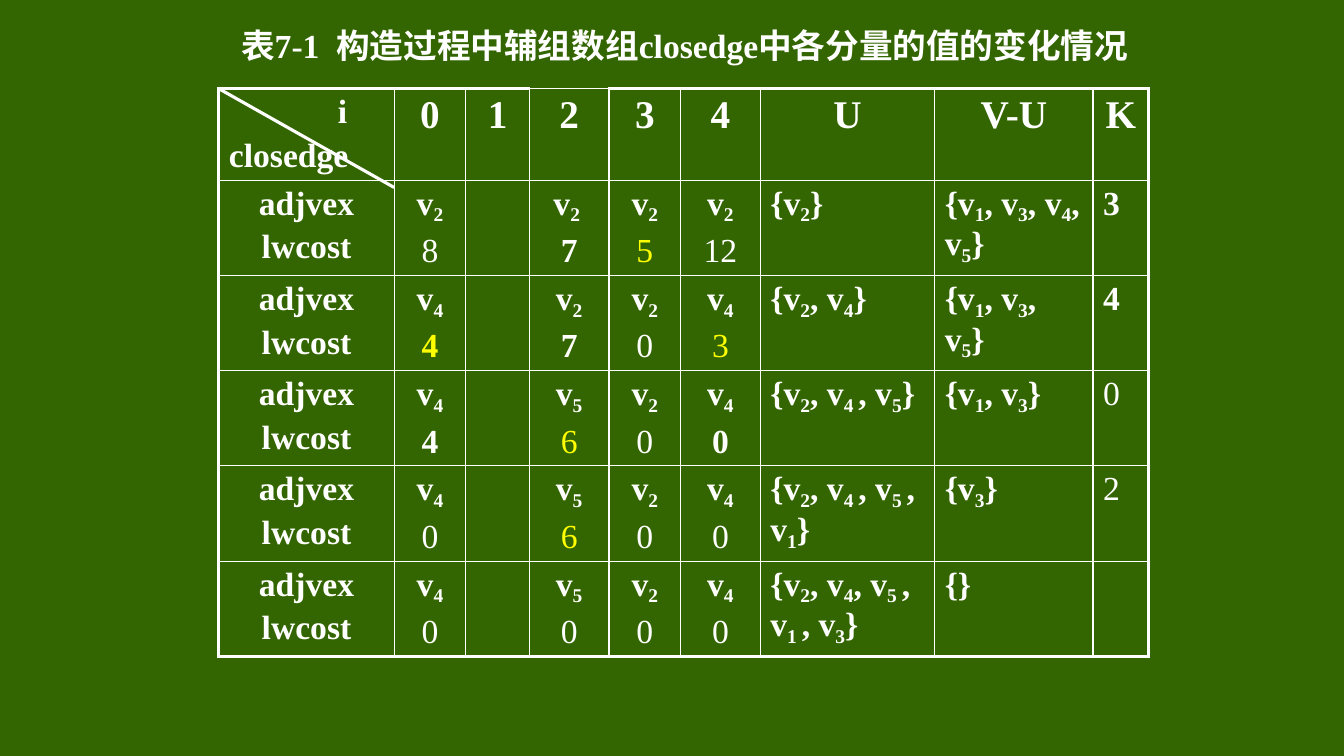
from dataclasses import dataclass

import pptx
import pptx.dml.color
import pptx.enum.shapes
import pptx.enum.text
import pptx.oxml
import pptx.oxml.ns
import pptx.slide
import pptx.table
import pptx.text.text
import pptx.util

RGB = pptx.dml.color.RGBColor
Align = pptx.enum.text.PP_ALIGN


@dataclass(frozen=True)
class Theme:
    font: str = "Times New Roman"
    background: RGB = RGB(0x33, 0x66, 0x00)
    text: RGB = RGB(0xFF, 0xFF, 0xFF)
    minimum: RGB = RGB(0xFF, 0xFF, 0x00)
    body_size: float = 24
    header_size: float = 28
    paragraph_gap: float = 4.8
    thin: float = 1
    thick: float = 2.25


@dataclass(frozen=True)
class Line:
    """One paragraph; the parts of its text between underscores alternate with subscripts."""
    text: str
    bold: bool = True
    minimum: bool = False
    align: Align = Align.CENTER
    size: float = 24
    indent: int = 0


@dataclass(frozen=True)
class Entry:
    """The adjvex and lwcost of one vertex."""
    adjvex: str
    lwcost: str
    bold: bool = False
    minimum: bool = False

    def lines(self) -> list[Line]:
        return [Line(self.adjvex), Line(self.lwcost, self.bold, self.minimum)]


@dataclass(frozen=True)
class Step:
    """One round: entries for vertices 0, 2, 3 and 4, both vertex sets and the choice k."""
    entries: tuple[Entry, Entry, Entry, Entry]
    chosen: str
    remaining: str
    k: str = ""
    k_bold: bool = False

    def cells(self) -> list[list[Line]]:
        first, *others = [entry.lines() for entry in self.entries]
        sets = [[Line(text, align=Align.LEFT)] for text in (self.chosen, self.remaining)]
        k = [Line(self.k, self.k_bold, align=Align.LEFT)] if self.k else []
        return [[Line("adjvex"), Line("lwcost")], first, [], *others, *sets, k]


THEME = Theme()
WIDTH, HEIGHT = pptx.util.Inches(13.33), pptx.util.Inches(7.5)

# Percentages of the slide's width and height
TABLE_LEFT, TABLE_TOP = 16.28, 11.73
COLUMNS = (13.05, 5.33, 4.73, 5.93, 5.33, 5.93, 12.98, 11.78, 4.13)
HEADER_HEIGHT, STEP_HEIGHT = 12.1, 12.6
DIAGONAL_HEIGHT = 13.07
THIN_TOP_COLUMN = 3

TITLE = "表7-1  构造过程中辅组数组closedge中各分量的值的变化情况"
HEADERS = ("0", "1", "2", "3", "4", "U", "V-U", "K")
STEPS = (
    Step((Entry("v_2_", "8"), Entry("v_2 _", "7", bold=True),
          Entry("v_2_", "5", minimum=True), Entry("v_2_", "12")),
         "{v_2_}", "{v_1_, v_3_, v_4_, v_5_}", "3", k_bold=True),
    Step((Entry("v_4_", "4", bold=True, minimum=True), Entry("v_2_", "7", bold=True),
          Entry("v_2_", "0"), Entry("v_4_", "3", minimum=True)),
         "{v_2_, v_4_}", "{v_1_, v_3_, v_5_}", "4", k_bold=True),
    Step((Entry("v_4_", "4", bold=True), Entry("v_5_", "6", minimum=True),
          Entry("v_2_", "0"), Entry("v_4_", "0", bold=True)),
         "{v_2_, v_4 _, v_5_}", "{v_1_, v_3_}", "0"),
    Step((Entry("v_4_", "0"), Entry("v_5_", "6", minimum=True),
          Entry("v_2_", "0"), Entry("v_4_", "0")),
         "{v_2_, v_4 _, v_5 _, v_1_}", "{v_3_}", "2"),
    Step((Entry("v_4_", "0"), Entry("v_5_", "0"), Entry("v_2_", "0"), Entry("v_4_", "0")),
         "{v_2_, v_4_, v_5 _, v_1 _, v_3_}", "{}"),
)


def across(percent: float) -> int:
    return round(WIDTH * percent / 100)


def down(percent: float) -> int:
    return round(HEIGHT * percent / 100)


def write_line(paragraph: pptx.text.text._Paragraph, line: Line) -> None:
    paragraph.alignment = line.align
    if line.indent:
        properties = paragraph._p.get_or_add_pPr()
        properties.set("marL", str(line.indent))
        properties.set("indent", "0")
    font = paragraph.font
    font.name, font.size, font.bold = THEME.font, pptx.util.Pt(line.size), line.bold
    font.color.rgb = THEME.minimum if line.minimum else THEME.text
    for position, part in enumerate(line.text.split("_")):
        if part:
            run = paragraph.add_run()
            run.text = part
            if position % 2:
                run._r.get_or_add_rPr().set("baseline", "-20000")


def write_lines(frame: pptx.text.text.TextFrame, lines: list[Line]) -> None:
    for position, line in enumerate(lines):
        paragraph = frame.add_paragraph() if position else frame.paragraphs[0]
        if position:
            paragraph.space_before = pptx.util.Pt(THEME.paragraph_gap)
        write_line(paragraph, line)


def draw_borders(cell: pptx.table._Cell, thick_sides: set[str]) -> None:
    properties = cell._tc.get_or_add_tcPr()
    for side in "LRTB":
        width = pptx.util.Pt(THEME.thick if side in thick_sides else THEME.thin)
        properties.append(pptx.oxml.parse_xml(
            f'<a:ln{side} {pptx.oxml.ns.nsdecls("a")} w="{width}"><a:solidFill>'
            f'<a:srgbClr val="{THEME.text}"/></a:solidFill></a:ln{side}>'))


def outer_sides(row: int, column: int) -> set[str]:
    """Sides of a cell that lie on the heavy frame of the table."""
    on_frame = {
        "L": column == 0,
        "R": column == len(COLUMNS) - 1,
        "T": row == 0 and column != THIN_TOP_COLUMN,
        "B": row == len(STEPS),
    }
    return {side for side, heavy in on_frame.items() if heavy}


def add_title(slide: pptx.slide.Slide) -> None:
    title = slide.shapes.title
    title.left, title.top = across(16.95), down(2.8)
    title.width, title.height = across(67.97), down(6.27)
    frame = title.text_frame
    frame.word_wrap = False
    frame.auto_size = pptx.enum.text.MSO_AUTO_SIZE.NONE
    frame.vertical_anchor = pptx.enum.text.MSO_ANCHOR.MIDDLE
    write_line(frame.paragraphs[0], Line(TITLE, size=THEME.body_size))


def add_closedge_table(slide: pptx.slide.Slide) -> None:
    corner = [Line("i", align=Align.LEFT, indent=across(8.1)),
              Line("closedge", align=Align.LEFT)]
    headers = [[Line(text, size=THEME.header_size)] for text in HEADERS]
    rows = [[corner, *headers], *(step.cells() for step in STEPS)]
    heights = [HEADER_HEIGHT] + [STEP_HEIGHT] * len(STEPS)
    table = slide.shapes.add_table(
        len(rows), len(COLUMNS), across(TABLE_LEFT), down(TABLE_TOP),
        across(sum(COLUMNS)), down(sum(heights))).table
    table.first_row = table.horz_banding = False
    for column, width in zip(table.columns, COLUMNS):
        column.width = across(width)
    for row, height in zip(table.rows, heights):
        row.height = down(height)
    for row_index, row in enumerate(rows):
        for column_index, lines in enumerate(row):
            cell = table.cell(row_index, column_index)
            draw_borders(cell, outer_sides(row_index, column_index))
            cell.fill.background()
            write_lines(cell.text_frame, lines)


def add_corner_diagonal(slide: pptx.slide.Slide) -> None:
    diagonal = slide.shapes.add_connector(
        pptx.enum.shapes.MSO_CONNECTOR.STRAIGHT, across(TABLE_LEFT), down(TABLE_TOP),
        across(TABLE_LEFT + COLUMNS[0]), down(TABLE_TOP + DIAGONAL_HEIGHT))
    diagonal.line.color.rgb = THEME.text
    diagonal.line.width = pptx.util.Pt(THEME.thick)
    diagonal._element.spPr.append(pptx.oxml.parse_xml(
        f'<a:effectLst {pptx.oxml.ns.nsdecls("a")}/>'))


def main() -> None:
    presentation = pptx.Presentation()
    presentation.slide_width, presentation.slide_height = WIDTH, HEIGHT
    slide = presentation.slides.add_slide(presentation.slide_layouts.get_by_name("Title Only"))
    slide.background.fill.solid()
    slide.background.fill.fore_color.rgb = THEME.background
    add_closedge_table(slide)
    add_corner_diagonal(slide)
    add_title(slide)
    presentation.save("out.pptx")


if __name__ == "__main__":
    main()
